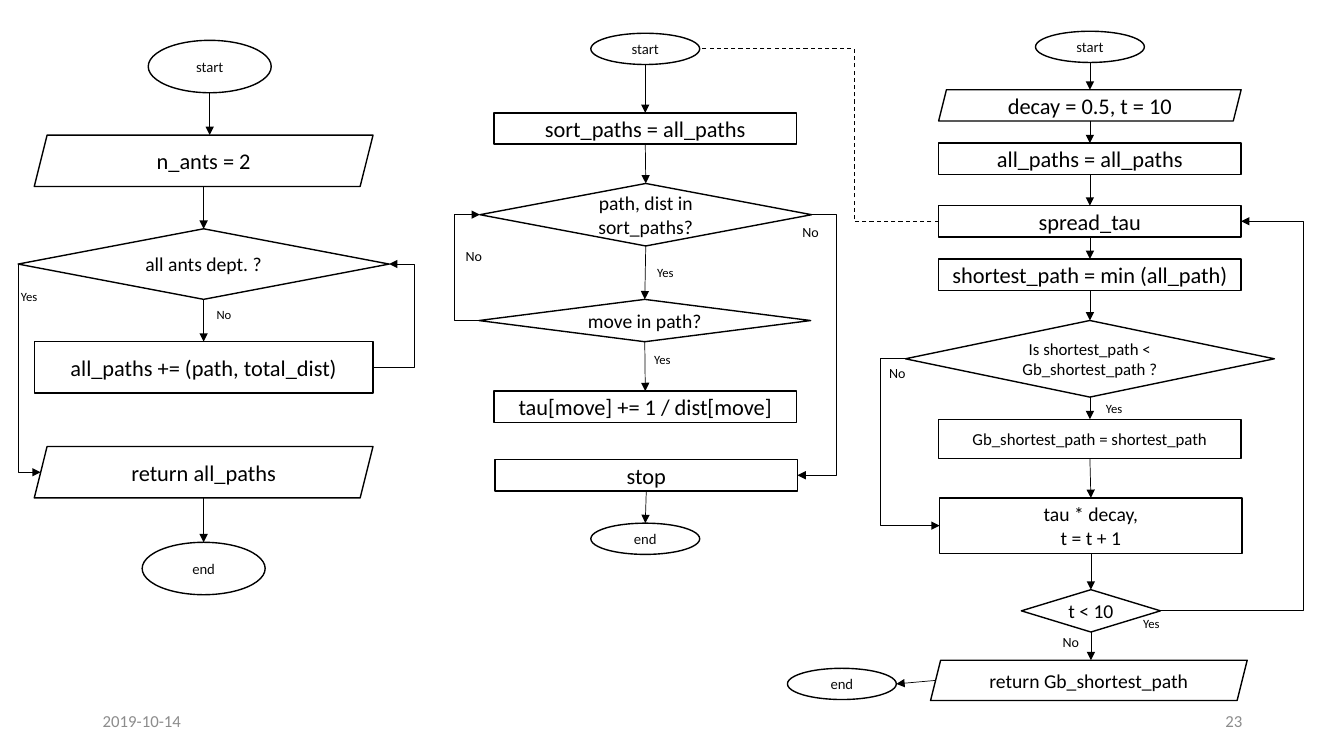
from dataclasses import dataclass

from lxml.etree import SubElement
from pptx import Presentation
from pptx.dml.color import RGBColor
from pptx.enum.dml import MSO_LINE
from pptx.enum.shapes import MSO_CONNECTOR as CONN, MSO_SHAPE as SHAPE
from pptx.enum.text import MSO_ANCHOR as ANCHOR, PP_ALIGN as ALIGN
from pptx.oxml.ns import qn
from pptx.util import Inches, Pt


@dataclass(frozen=True)
class Theme:
    font: str = "Calibri"
    ink: str = "000000"
    soft_ink: str = "0D0D0D"
    grey: str = "8C8C8C"
    large: float = 16
    medium: float = 14
    small: float = 12
    terminal: float = 10.5
    no_label: float = 10
    label: float = 9
    outline: float = 1
    arrow: float = 0.5
    dashed: float = 0.75


T = Theme()
KINDS = {"box": SHAPE.RECTANGLE, "test": SHAPE.DIAMOND,
         "data": SHAPE.PARALLELOGRAM, "end": SHAPE.OVAL}
TOP, LEFT, BOTTOM, RIGHT = range(4)

# name: (kind, left, top, width, height, text, size)
NODES = {
    # finding all paths
    "find start": ("end", 1.47, 0.4, 1.22, 0.52, "start", T.terminal),
    "ants": ("data", 0.34, 1.34, 3.36, 0.51, "n_ants = 2", T.large),
    "departed": ("test", 0.18, 2.27, 3.68, 0.7, "all ants dept. ?", T.medium),
    "add path": ("box", 0.34, 3.39, 3.36, 0.51, "all_paths += (path, total_dist)", T.large),
    "return paths": ("data", 0.34, 4.43, 3.36, 0.51, "return all_paths", T.large),
    "find end": ("end", 1.41, 5.38, 1.22, 0.52, "end", T.terminal),
    # spreading tau
    "spread start": ("end", 5.86, 0.33, 1.08, 0.31, "start", T.terminal),
    "sort": ("box", 4.9, 1.12, 3, 0.31, "sort_paths = all_paths", T.large),
    "each path": ("test", 4.76, 1.82, 3.29, 0.62, "path, dist in sort_paths?", T.medium),
    "each move": ("test", 4.75, 2.97, 3.29, 0.42, "move in path?", T.medium),
    "tau": ("box", 4.9, 3.88, 3, 0.31, "tau[move] += 1 / dist[move]", T.large),
    "stop": ("box", 4.91, 4.56, 3, 0.31, "stop", T.large),
    "spread end": ("end", 5.86, 5.19, 1.08, 0.31, "end", T.terminal),
    # main loop
    "main start": ("end", 10.27, 0.31, 1.08, 0.31, "start", T.terminal),
    "decay": ("data", 9.31, 0.89, 3, 0.31, "decay = 0.5, t = 10", T.large),
    "all paths": ("box", 9.31, 1.42, 3, 0.31, "all_paths = all_paths", T.large),
    "spread": ("box", 9.31, 2.04, 3, 0.31, "spread_tau", T.large),
    "shortest": ("box", 9.31, 2.57, 3, 0.31, "shortest_path = min (all_path)", T.large),
    "shorter": ("test", 8.98, 3.18, 3.66, 0.76,
                "Is shortest_path < Gb_shortest_path ?", T.small),
    "keep": ("box", 9.31, 4.16, 3, 0.39, "Gb_shortest_path = shortest_path", T.small),
    "evaporate": ("box", 9.32, 4.94, 3, 0.55, "tau * decay,\nt = t + 1", T.medium),
    "again": ("test", 10.13, 5.85, 1.38, 0.42, "t < 10", T.medium),
    "return best": ("data", 9.23, 6.55, 3.14, 0.4, "return Gb_shortest_path", T.medium),
    "main end": ("end", 7.81, 6.63, 1.08, 0.31, "end", T.terminal),
}

# each chain runs downwards, one arrow between neighbours
CHAINS = [
    ["find start", "ants", "departed", "add path"],
    ["return paths", "find end"],
    ["spread start", "sort", "each path", "each move", "tau"],
    ["stop", "spread end"],
    ["main start", "decay", "all paths", "spread", "shortest", "shorter",
     "keep", "evaporate", "again", "return best"],
]

# (from, side, to, side, x of the vertical run)
LOOPS = [
    ("add path", RIGHT, "departed", RIGHT, 4.11),
    ("departed", LEFT, "return paths", LEFT, 0.18),
    ("each move", LEFT, "each path", LEFT, 4.5),
    ("each path", RIGHT, "stop", RIGHT, 8.3),
    ("shorter", LEFT, "evaporate", LEFT, 8.73),
    ("again", RIGHT, "spread", RIGHT, 12.93),
]
CALL = ("spread", LEFT, "spread start", RIGHT, 8.47)

# (left, top, width, text)
LABELS = [
    (0.11, 2.82, 0.39, "Yes"), (2.05, 3, 0.37, "No"),
    (6.42, 2.58, 0.6, "Yes"), (6.39, 3.44, 0.52, "Yes"),
    (11.24, 6.06, 0.46, "Yes"), (10.87, 3.93, 0.6, "Yes"),
]
NO_LABELS = [(7.86, 2.17), (4.52, 2.41), (10.44, 6.24), (8.72, 3.57)]
FOOTER = [(0.92, "2019-10-14", ALIGN.LEFT), (9.42, "23", ALIGN.RIGHT)]


def write(sp, text, size, color=T.ink, align=ALIGN.LEFT, anchor=ANCHOR.TOP, wrap=True):
    tf = sp.text_frame
    tf.word_wrap = wrap
    tf.vertical_anchor = anchor
    tf.text = text
    for p in tf.paragraphs:
        p.alignment = align
        p.font.name = T.font
        p.font.size = Pt(size)
        p.font.color.rgb = RGBColor.from_string(color)


def add_text(s, left, top, width, height, text, size, **style):
    box = s.shapes.add_textbox(*map(Inches, (left, top, width, height)))
    write(box, text, size, **style)


def add_node(s, kind, left, top, width, height, text, size):
    sp = s.shapes.add_shape(KINDS[kind], *map(Inches, (left, top, width, height)))
    sp.shadow.inherit = False
    sp.fill.background()
    sp.line.color.rgb = RGBColor.from_string(T.ink)
    sp.line.width = Pt(T.outline)
    write(sp, text, size, color=T.soft_ink if kind == "end" else T.ink,
          align=ALIGN.CENTER, anchor=ANCHOR.MIDDLE)
    return sp


def side_point(name, side):
    """Middle of a node's side, in inches; a parallelogram's ends slant inwards."""
    kind, left, top, width, height = NODES[name][:5]
    slant = height / 8 if kind == "data" else 0
    return {TOP: (left + width / 2, top),
            LEFT: (left + slant, top + height / 2),
            BOTTOM: (left + width / 2, top + height),
            RIGHT: (left + width - slant, top + height / 2)}[side]


def link(s, shapes, source, out_side, target, in_side, via=None,
         arrow=True, width=T.arrow):
    """Join two nodes, by an elbow with its vertical run at via if that is given."""
    x1, y1 = side_point(source, out_side)
    x2, y2 = side_point(target, in_side)
    if in_side == TOP and NODES[target][0] == "data":
        x2 = x1
    style = CONN.STRAIGHT if via is None else CONN.ELBOW
    c = s.shapes.add_connector(style, *map(Inches, (x1, y1, x2, y2)))
    if NODES[source][0] in ("box", "test"):
        c.begin_connect(shapes[source], out_side)
    if NODES[target][0] in ("box", "test"):
        c.end_connect(shapes[target], in_side)
    c.line.color.rgb = RGBColor.from_string(T.ink)
    c.line.width = Pt(width)
    if via is not None:
        bend = (Inches(via) - c.begin_x) / (c.end_x - c.begin_x)
        guides = c._element.spPr.find(qn("a:prstGeom")).get_or_add_avLst()
        SubElement(guides, qn("a:gd"), name="adj1", fmla=f"val {round(bend * 100000)}")
    if arrow:
        SubElement(c.line._get_or_add_ln(), qn("a:tailEnd"), type="triangle")
    else:
        c.line.dash_style = MSO_LINE.DASH
    SubElement(c._element.spPr, qn("a:effectLst"))


def main():
    prs = Presentation()
    prs.slide_width, prs.slide_height = Inches(13.33), Inches(7.5)
    s = prs.slides.add_slide(prs.slide_layouts[6])

    for left, text, align in FOOTER:
        add_text(s, left, 6.95, 3, 0.4, text, T.small, color=T.grey,
                 align=align, anchor=ANCHOR.MIDDLE)
    shapes = {name: add_node(s, *node) for name, node in NODES.items()}
    for chain in CHAINS:
        for upper, lower in zip(chain, chain[1:]):
            link(s, shapes, upper, BOTTOM, lower, TOP)
    for loop in LOOPS:
        link(s, shapes, *loop)
    link(s, shapes, *CALL, arrow=False, width=T.dashed)
    link(s, shapes, "return best", LEFT, "main end", RIGHT)
    for left, top, width, text in LABELS:
        add_text(s, left, top, width, 0.25, text, T.label)
    for left, top in NO_LABELS:
        add_text(s, left, top, 0.37, 0.27, "No", T.no_label, wrap=False)

    prs.save("out.pptx")


if __name__ == "__main__":
    main()
